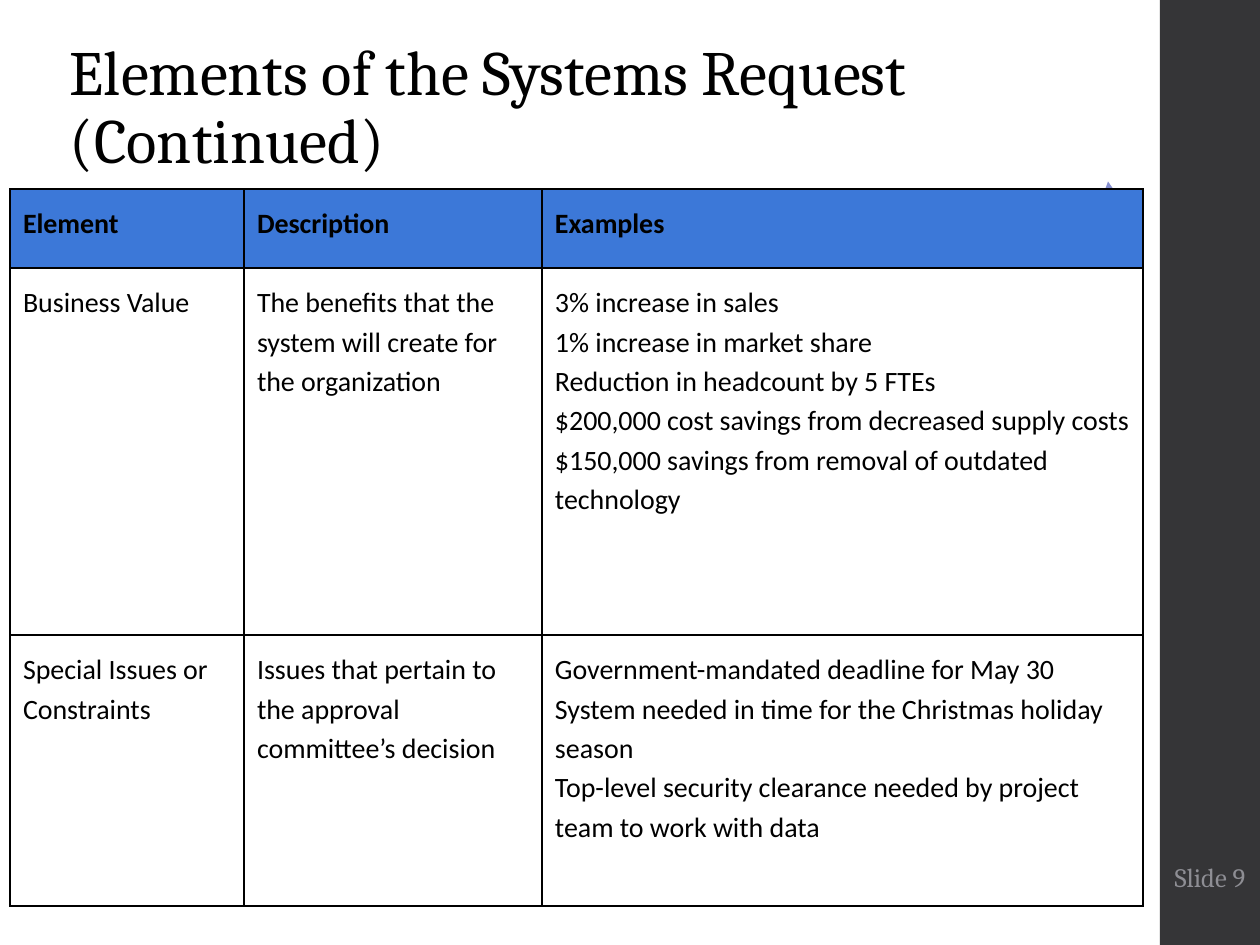
from dataclasses import dataclass

from lxml.etree import SubElement
from pptx import Presentation
from pptx.dml.color import RGBColor
from pptx.enum.shapes import MSO_SHAPE as Shape
from pptx.enum.text import MSO_ANCHOR as Anchor, PP_ALIGN as Align
from pptx.oxml.ns import qn
from pptx.util import Pt

EMU_PER_PX = 914400 / 126


@dataclass(frozen=True)
class Theme:
    ink: str = "000000"
    sidebar: str = "353537"
    accent: str = "868FD0"
    header: str = "3C78D8"
    muted: str = "8E8E94"
    heading_font: str = "Cambria"
    body_font: str = "Calibri"
    title_size: float = 36
    body_size: float = 16
    number_size: float = 15.2
    border_width: float = 0.75


@dataclass(frozen=True)
class Box:
    left: int
    top: int
    width: int
    height: int

    def emu(self) -> tuple[int, ...]:
        return tuple(px(side) for side in (self.left, self.top, self.width, self.height))


@dataclass(frozen=True)
class Style:
    font: str
    size: float
    color: str
    bold: bool = False
    spacing: float = 1.0
    align: Align = Align.LEFT


@dataclass(frozen=True)
class Element:
    name: tuple[str, ...]
    description: tuple[str, ...]
    examples: tuple[str, ...]
    height: int


THEME = Theme()
TITLE = Style(THEME.heading_font, THEME.title_size, THEME.ink, spacing=0.9)
NUMBER = Style(THEME.heading_font, THEME.number_size, THEME.muted, align=Align.CENTER)
HEADER = Style(THEME.body_font, THEME.body_size, THEME.ink, bold=True, spacing=1.15)
BODY = Style(THEME.body_font, THEME.body_size, THEME.ink, spacing=1.15)

COLUMN_WIDTHS = (234, 298, 601)
ELEMENTS = (
    Element(("Element",), ("Description",), ("Examples",), 79),
    Element(
        ("Business Value",),
        ("The benefits that the system will create for the organization",),
        (
            "3% increase in sales",
            "1% increase in market share",
            "Reduction in headcount by 5 FTEs",
            "$200,000 cost savings from decreased supply costs",
            "$150,000 savings from removal of outdated technology",
        ),
        367,
    ),
    Element(
        ("Special Issues or", "Constraints"),
        ("Issues that pertain to the approval committee’s decision",),
        (
            "Government-mandated deadline for May 30 System needed in time "
            "for the Christmas holiday season",
            "Top-level security clearance needed by project team to work with data",
        ),
        271,
    ),
)


def px(length: int) -> int:
    return round(length * EMU_PER_PX)


def write(frame, lines: tuple[str, ...], style: Style) -> None:
    frame.word_wrap = True
    for index, line in enumerate(lines):
        para = frame.add_paragraph() if index else frame.paragraphs[0]
        para.alignment = style.align
        para.line_spacing = style.spacing
        span = para.add_run()
        span.text = line
        span.font.name = style.font
        span.font.size = Pt(style.size)
        span.font.bold = style.bold
        span.font.color.rgb = RGBColor.from_string(style.color)


def set_margins(target, left: int, top: int, right: int, bottom: int) -> None:
    target.margin_left, target.margin_top = px(left), px(top)
    target.margin_right, target.margin_bottom = px(right), px(bottom)


def add_block(page, kind: Shape, box: Box, color: str, rotation: float = 0):
    block = page.shapes.add_shape(kind, *box.emu())
    block.shadow.inherit = False
    block.fill.solid()
    block.fill.fore_color.rgb = RGBColor.from_string(color)
    block.line.fill.background()
    block.rotation = rotation
    return block


def add_text(page, box: Box, text: str, style: Style, anchor: Anchor,
             margins: tuple[int, int, int, int]) -> None:
    frame = page.shapes.add_textbox(*box.emu()).text_frame
    frame.vertical_anchor = anchor
    set_margins(frame, *margins)
    write(frame, (text,), style)


def add_borders(cell) -> None:
    properties = cell._tc.get_or_add_tcPr()
    for position, side in enumerate(("a:lnL", "a:lnR", "a:lnT", "a:lnB")):
        line = SubElement(properties, qn(side), w=str(Pt(THEME.border_width)))
        fill = SubElement(line, qn("a:solidFill"))
        SubElement(fill, qn("a:srgbClr"), val=THEME.ink)
        properties.insert(position, line)


def add_elements_table(page, left: int, top: int) -> None:
    height = sum(element.height for element in ELEMENTS)
    box = Box(left, top, sum(COLUMN_WIDTHS), height)
    table = page.shapes.add_table(len(ELEMENTS), len(COLUMN_WIDTHS), *box.emu()).table
    for column, width in zip(table.columns, COLUMN_WIDTHS):
        column.width = px(width)
    for index, (row, element) in enumerate(zip(table.rows, ELEMENTS)):
        row.height = px(element.height)
        contents = (element.name, element.description, element.examples)
        for cell, lines in zip(row.cells, contents):
            set_margins(cell, 13, 13, 12, 13)
            write(cell.text_frame, lines, BODY if index else HEADER)
            if index:
                cell.fill.background()
            else:
                cell.fill.solid()
                cell.fill.fore_color.rgb = RGBColor.from_string(THEME.header)
            add_borders(cell)


def main() -> None:
    deck = Presentation()
    deck.slide_width, deck.slide_height = px(1260), px(945)
    page = deck.slides.add_slide(deck.slide_layouts[6])
    add_block(page, Shape.RECTANGLE, Box(1160, 0, 100, 945), THEME.sidebar)
    pointer = add_block(page, Shape.ISOSCELES_TRIANGLE, Box(1089, 184, 24, 34),
                        THEME.accent, rotation=235)
    pointer.adjustments[0] = 0
    add_text(page, Box(57, 0, 1002, 183), "Elements of the Systems Request (Continued)",
             TITLE, Anchor.BOTTOM, (13, 6, 13, 6))
    add_text(page, Box(1163, 851, 94, 82), "Slide 9", NUMBER, Anchor.TOP, (4, 10, 4, 6))
    add_elements_table(page, 10, 189)
    deck.save("out.pptx")


if __name__ == "__main__":
    main()
